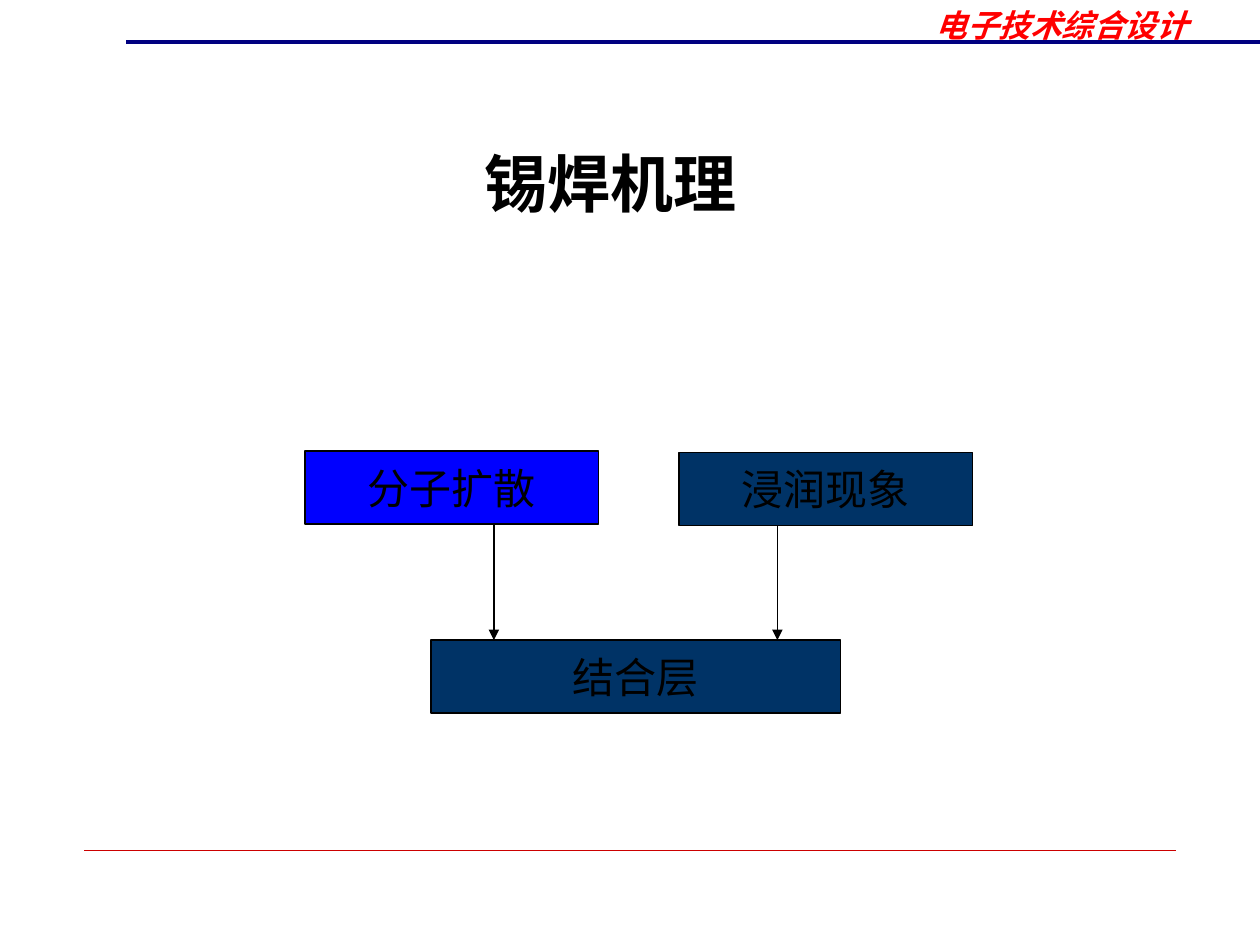
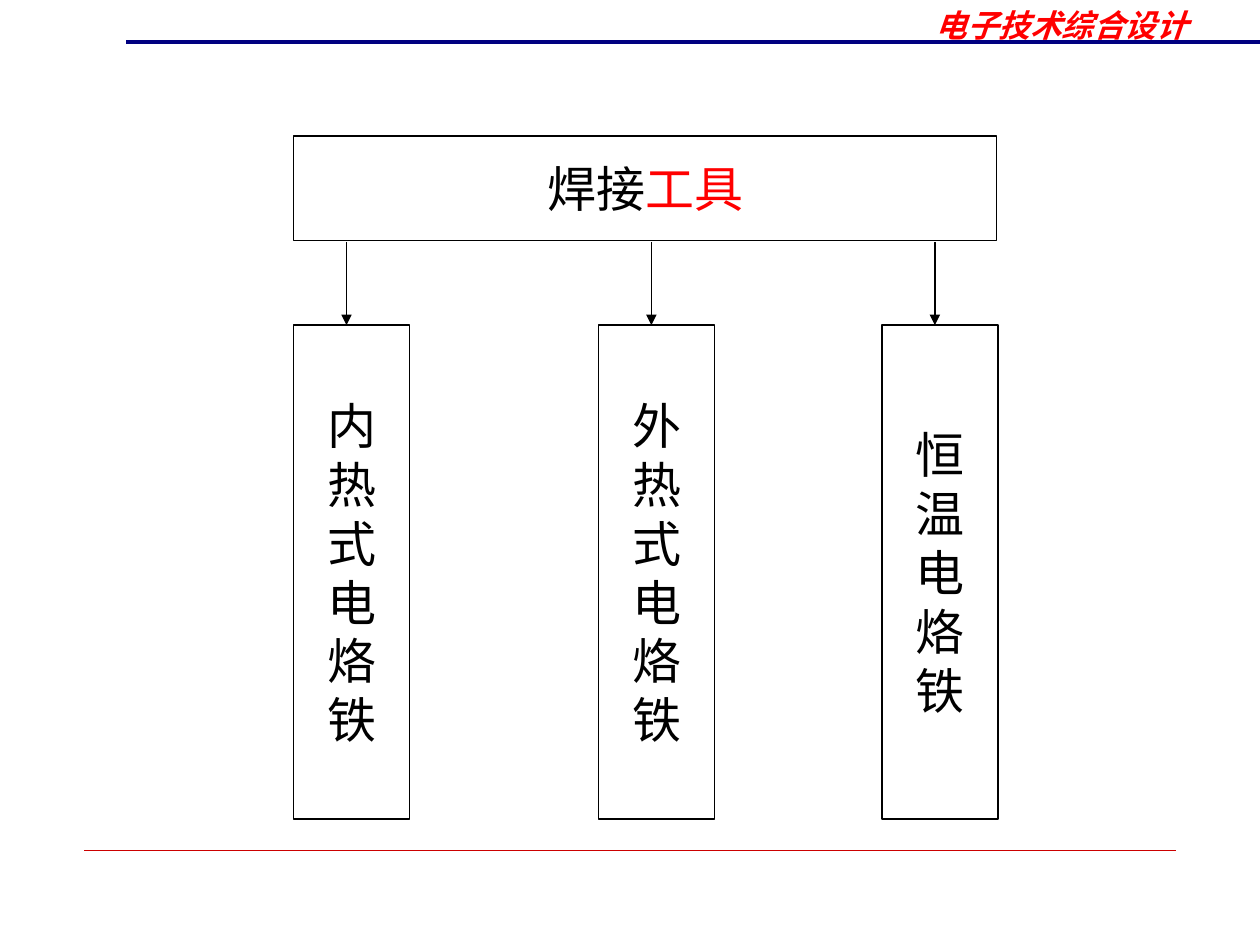
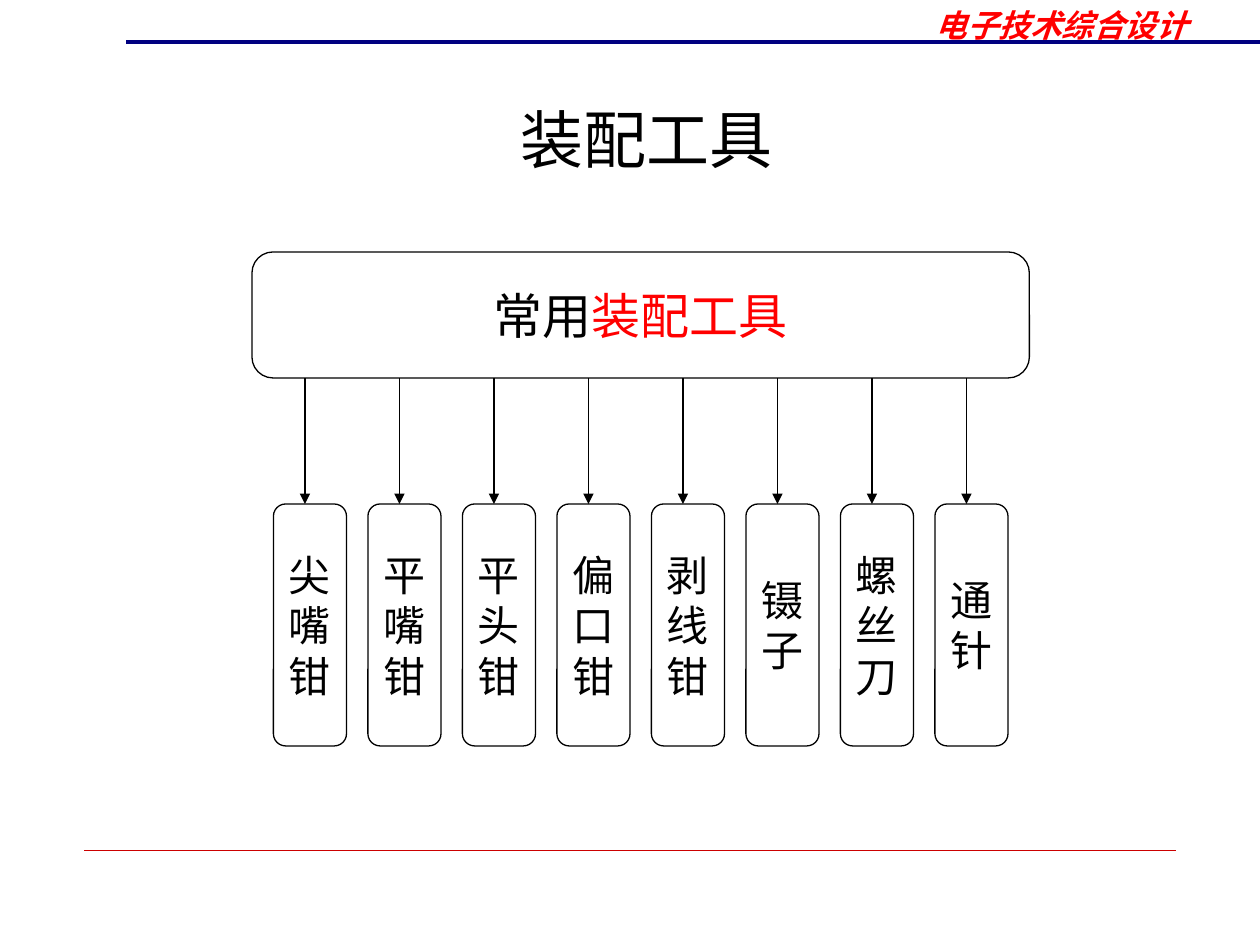
from typing import NamedTuple, Optional

from pptx import Presentation
from pptx.dml.color import RGBColor
from pptx.enum.lang import MSO_LANGUAGE_ID
from pptx.enum.shapes import MSO_CONNECTOR, MSO_SHAPE
from pptx.enum.text import MSO_ANCHOR, MSO_AUTO_SIZE, PP_ALIGN
from pptx.oxml.ns import qn
from pptx.util import Inches, Pt
from lxml.etree import SubElement

BLACK = RGBColor(0x00, 0x00, 0x00)
RED = RGBColor(0xFF, 0x00, 0x00)
RULE_RED = RGBColor(0xCC, 0x00, 0x00)
NAVY = RGBColor(0x00, 0x00, 0x80)
BLUE = RGBColor(0x00, 0x00, 0xFF)
DARK_BLUE = RGBColor(0x00, 0x33, 0x66)

BODY_FONT = "Times New Roman"
HEADER_FONT = "DejaVu Sans"
COURSE = "电子技术综合设计"
TITLE_ONLY, BLANK = 5, 6


class Area(NamedTuple):
    """Left, top, width and height in inches."""
    left: float
    top: float
    width: float
    height: float

    def lengths(self):
        return [Inches(value) for value in self]


class Span(NamedTuple):
    text: str
    color: RGBColor = BLACK


class Node(NamedTuple):
    """A box of the diagram; each paragraph is a list of spans."""
    area: Area
    paragraphs: list[list[Span]]
    size: int
    fill: Optional[RGBColor] = None
    outline: MSO_SHAPE = MSO_SHAPE.RECTANGLE


def stacked(word: str) -> list[list[Span]]:
    """One character per paragraph, to be read downwards."""
    return [[Span(character)] for character in word]


def add_span(para, span: Span, size: int, font_name: str = BODY_FONT,
             bold: bool = False, italic: bool = False) -> None:
    run = para.add_run()
    run.text = span.text
    font = run.font
    font.name = font_name
    font.size = Pt(size)
    font.bold = bold
    font.italic = italic
    font.color.rgb = span.color
    font.language_id = MSO_LANGUAGE_ID.SIMPLIFIED_CHINESE


def add_line(page, start: tuple, end: tuple, color: RGBColor = BLACK,
             width: float = 0.75, arrow: bool = False) -> None:
    ends = [Inches(value) for value in (*start, *end)]
    connector = page.shapes.add_connector(MSO_CONNECTOR.STRAIGHT, *ends)
    connector.line.color.rgb = color
    connector.line.width = Pt(width)
    properties = connector.element.spPr
    if arrow:
        SubElement(properties.get_or_add_ln(), qn("a:tailEnd"), type="triangle")
    SubElement(properties, qn("a:effectLst"))


def add_arrows(page, positions: list[float], top: float, bottom: float) -> None:
    for x in positions:
        add_line(page, (x, top), (x, bottom), arrow=True)


def add_node(page, node: Node) -> None:
    box = page.shapes.add_shape(node.outline, *node.area.lengths())
    box.shadow.inherit = False
    box.line.color.rgb = BLACK
    box.line.width = Pt(0.75)
    if node.fill is None:
        box.fill.background()
    else:
        box.fill.solid()
        box.fill.fore_color.rgb = node.fill
    frame = box.text_frame
    frame.word_wrap = False
    frame.vertical_anchor = MSO_ANCHOR.MIDDLE
    for index, spans in enumerate(node.paragraphs):
        para = frame.add_paragraph() if index else frame.paragraphs[0]
        para.alignment = PP_ALIGN.CENTER
        for span in spans:
            add_span(para, span, node.size)


def set_title(page, text: str, area: Area, anchor: MSO_ANCHOR, bold: bool = False) -> None:
    title = page.shapes.title
    title.left, title.top, title.width, title.height = area.lengths()
    frame = title.text_frame
    frame.auto_size = MSO_AUTO_SIZE.NONE
    frame.vertical_anchor = anchor
    para = frame.paragraphs[0]
    para.alignment = PP_ALIGN.CENTER
    add_span(para, Span(text), 36, bold=bold)


def add_page(deck, layout: int):
    """Add a slide with the two rules and the course name."""
    page = deck.slides.add_slide(deck.slide_layouts[layout])
    for placeholder in list(page.placeholders):
        if placeholder != page.shapes.title:
            placeholder.element.getparent().remove(placeholder.element)
    add_line(page, (0.67, 6.75), (9.33, 6.75), RULE_RED, 0.25)
    add_line(page, (1, 0.33), (10, 0.33), NAVY, 2.25)
    header = page.shapes.add_textbox(*Area(7.33, 0, 2.42, 0.4).lengths())
    frame = header.text_frame
    frame.word_wrap = True
    frame.auto_size = MSO_AUTO_SIZE.SHAPE_TO_FIT_TEXT
    add_span(frame.paragraphs[0], Span(COURSE, RED), 18, HEADER_FONT, bold=True, italic=True)
    return page


def build_mechanism(deck) -> None:
    page = add_page(deck, TITLE_ONLY)
    set_title(page, "锡焊机理", Area(2.72, 0.91, 4.25, 1.08), MSO_ANCHOR.MIDDLE, bold=True)
    for text, area, fill in (
        ("浸润现象", Area(5.39, 3.59, 2.33, 0.58), DARK_BLUE),
        ("分子扩散", Area(2.42, 3.58, 2.33, 0.58), BLUE),
        ("结合层", Area(3.42, 5.08, 3.25, 0.58), DARK_BLUE),
    ):
        add_node(page, Node(area, [[Span(text)]], 24, fill))
    add_arrows(page, [3.92, 6.17], 4.17, 5.08)


def build_soldering_tools(deck) -> None:
    page = add_page(deck, BLANK)
    heading = [[Span("焊接"), Span("工具", RED)]]
    add_node(page, Node(Area(2.33, 1.08, 5.58, 0.83), heading, 28))
    irons = {"内热式电烙铁": 2.33, "外热式电烙铁": 4.75, "恒温电烙铁": 7}
    for iron, left in irons.items():
        add_node(page, Node(Area(left, 2.58, 0.92, 3.92), stacked(iron), 28))
    add_arrows(page, [left + 0.42 for left in irons.values()], 1.92, 2.58)


def build_assembly_tools(deck) -> None:
    page = add_page(deck, TITLE_ONLY)
    set_title(page, "装配工具", Area(3.17, 0.75, 3.92, 0.7), MSO_ANCHOR.TOP)
    rounded = MSO_SHAPE.ROUNDED_RECTANGLE
    heading = [[Span("常用"), Span("装配工具", RED)]]
    add_node(page, Node(Area(2, 2, 6.17, 1), heading, 28, outline=rounded))
    tools = ["尖嘴钳", "平嘴钳", "平头钳", "偏口钳", "剥线钳", "镊子", "螺丝刀", "通针"]
    lefts = [2.17 + 0.75 * index for index in range(len(tools))]
    for tool, left in zip(tools, lefts):
        add_node(page, Node(Area(left, 4, 0.58, 1.92), stacked(tool), 24, outline=rounded))
    add_arrows(page, [left + 0.25 for left in lefts], 3, 4)


def main() -> None:
    deck = Presentation()
    deck.slide_width = Inches(10)
    deck.slide_height = Inches(7.5)
    build_mechanism(deck)
    build_soldering_tools(deck)
    build_assembly_tools(deck)
    deck.save("out.pptx")


if __name__ == "__main__":
    main()
